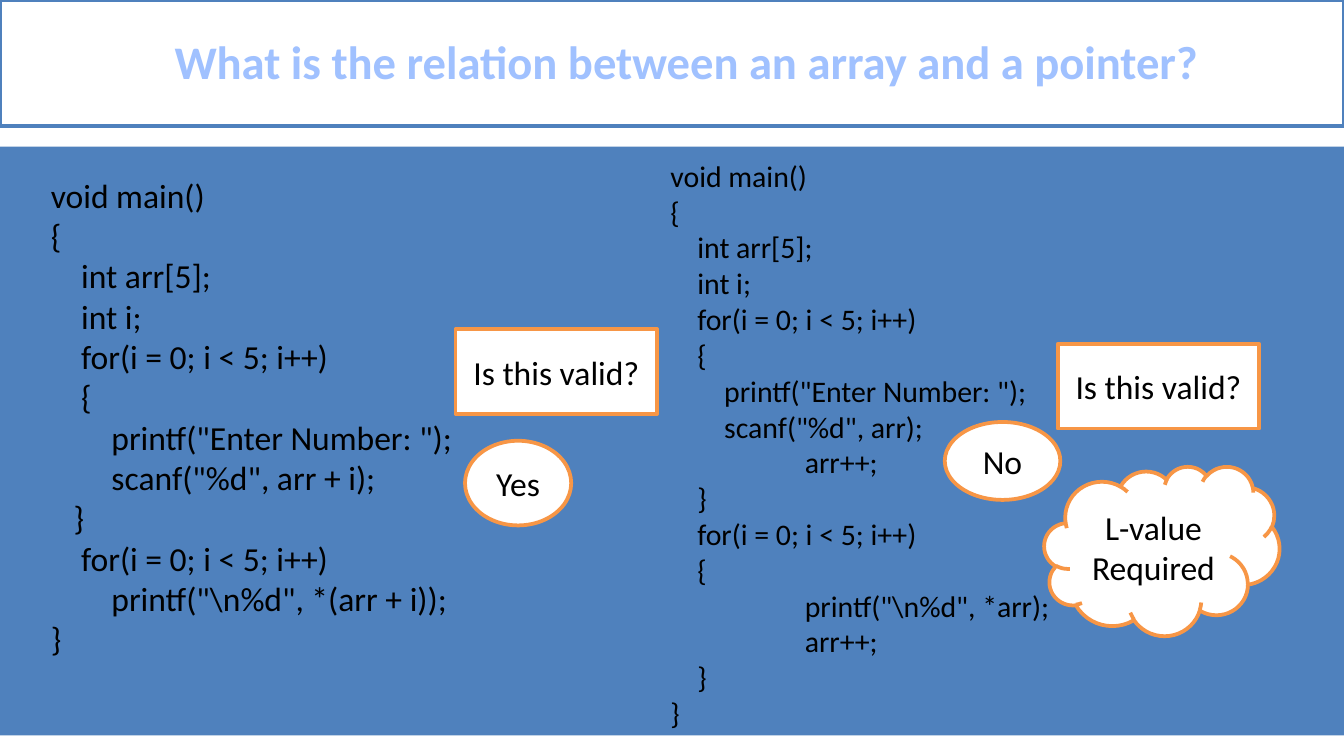
"""Build a slide comparing array and pointer arithmetic in two C programs."""
from dataclasses import dataclass

from lxml import etree
from pptx import Presentation
from pptx.dml.color import RGBColor
from pptx.enum import shapes, text
from pptx.oxml import ns
from pptx.util import Inches, Pt

WIDTH = Inches(10)
HEIGHT = WIDTH * 9 // 16
BLUE = RGBColor(0x4F, 0x81, 0xBD)
SKY = RGBColor(0xA0, 0xC1, 0xFF)
ORANGE = RGBColor(0xF7, 0x96, 0x46)
WHITE = RGBColor(0xFF, 0xFF, 0xFF)
BLACK = RGBColor(0, 0, 0)
FONT = "Calibri"
RECT = shapes.MSO_SHAPE.RECTANGLE
OVAL = shapes.MSO_SHAPE.OVAL
CLOUD = shapes.MSO_SHAPE.CLOUD


@dataclass(frozen=True)
class Area:
    """Position and size in percent of the slide's width and height."""
    left: float
    top: float
    width: float
    height: float

    def emu(self) -> tuple[int, int, int, int]:
        """Return the area in slide units."""
        return (int(WIDTH * self.left / 100), int(HEIGHT * self.top / 100),
                int(WIDTH * self.width / 100), int(HEIGHT * self.height / 100))


@dataclass(frozen=True)
class Box:
    """A filled shape with an optional outline and centred label."""
    kind: shapes.MSO_SHAPE
    area: Area
    label: str = ""
    fill: RGBColor = WHITE
    line: RGBColor | None = ORANGE
    size: float = 18
    color: RGBColor = BLACK
    bold: bool = False
    indent: float = 0
    spacing: float = 1.0


@dataclass(frozen=True)
class Listing:
    """A block of program code."""
    area: Area
    size: float
    lines: tuple[str, ...]


LOOP = "    for(i = 0; i < 5; i++)"
OPENING = ("void main()", "{", "    int arr[5];", "    int i;", LOOP, "    {",
           '        printf("Enter Number: ");')

BACKDROP = (
    Box(RECT, Area(0, 19.4, 100, 77.87), fill=BLUE, line=None),
    Box(RECT, Area(0, 0, 100, 16.71),
        "What is the relation between an array and a pointer?",
        line=BLUE, size=25, color=SKY, bold=True, indent=0.21, spacing=0.96),
)
LISTINGS = (
    Listing(Area(2.8, 22.22, 32.4, 66.49), 18, OPENING + (
        '        scanf("%d", arr + i);', "   }", LOOP,
        '        printf("\\n%d", *(arr + i));', "}")),
    Listing(Area(48.9, 19.95, 30.9, 78.4), 16, OPENING + (
        '        scanf("%d", arr);', "\tarr++;", "    }", LOOP, "    {",
        '\tprintf("\\n%d", *arr);', "\tarr++;", "    }", "}")),
)
QUESTION = "Is this valid?"
CALLOUTS = (
    Box(RECT, Area(33.9, 43.56, 15, 11.2), QUESTION),
    Box(OVAL, Area(34.6, 58.31, 7.9, 11.2), "Yes"),
    Box(RECT, Area(78.7, 45.51, 15, 11.2), QUESTION),
    Box(OVAL, Area(70.3, 55.82, 8.6, 10.31), "No"),
    Box(CLOUD, Area(77.7, 61.69, 17.5, 22.4), "L-value Required"),
)


def add_text(p, content: str, size: float, color: RGBColor = BLACK,
             bold: bool = False) -> None:
    """Add one formatted run to a paragraph."""
    r = p.add_run()
    r.text = content
    r.font.name, r.font.size, r.font.bold = FONT, Pt(size), bold
    r.font.color.rgb = color


def add_tab_stop(p, position: int) -> None:
    """Add a left tab stop to a paragraph."""
    tabs = etree.SubElement(p._p.get_or_add_pPr(), ns.qn("a:tabLst"))
    etree.SubElement(tabs, ns.qn("a:tab"), pos=str(position), algn="l")


def draw_box(s, box: Box) -> None:
    """Draw a shape with its label."""
    sp = s.shapes.add_shape(box.kind, *box.area.emu())
    sp.shadow.inherit = False
    sp.fill.solid()
    sp.fill.fore_color.rgb = box.fill
    if box.line is None:
        sp.line.fill.background()
    else:
        sp.line.color.rgb = box.line
        sp.line.width = Pt(2)
    if box.label:
        tf = sp.text_frame
        tf.word_wrap = True
        tf.vertical_anchor = text.MSO_ANCHOR.MIDDLE
        tf.margin_left = Inches(0.1 + box.indent)
        p = tf.paragraphs[0]
        p.alignment = text.PP_ALIGN.CENTER
        p.line_spacing = box.spacing
        add_text(p, box.label, box.size, box.color, box.bold)


def draw_listing(s, listing: Listing) -> None:
    """Draw program code with one paragraph per line."""
    tf = s.shapes.add_textbox(*listing.area.emu()).text_frame
    tf.word_wrap = False
    tf.auto_size = text.MSO_AUTO_SIZE.SHAPE_TO_FIT_TEXT
    for i, line in enumerate(listing.lines):
        p = tf.add_paragraph() if i else tf.paragraphs[0]
        if line.startswith("\t"):
            add_tab_stop(p, Inches(1))
        add_text(p, line, listing.size)


def main() -> None:
    """Build and save the presentation."""
    prs = Presentation()
    prs.slide_width, prs.slide_height = WIDTH, HEIGHT
    s = prs.slides.add_slide(prs.slide_layouts[6])
    for box in BACKDROP:
        draw_box(s, box)
    for listing in LISTINGS:
        draw_listing(s, listing)
    for box in CALLOUTS:
        draw_box(s, box)
    prs.save("out.pptx")


if __name__ == "__main__":
    main()
